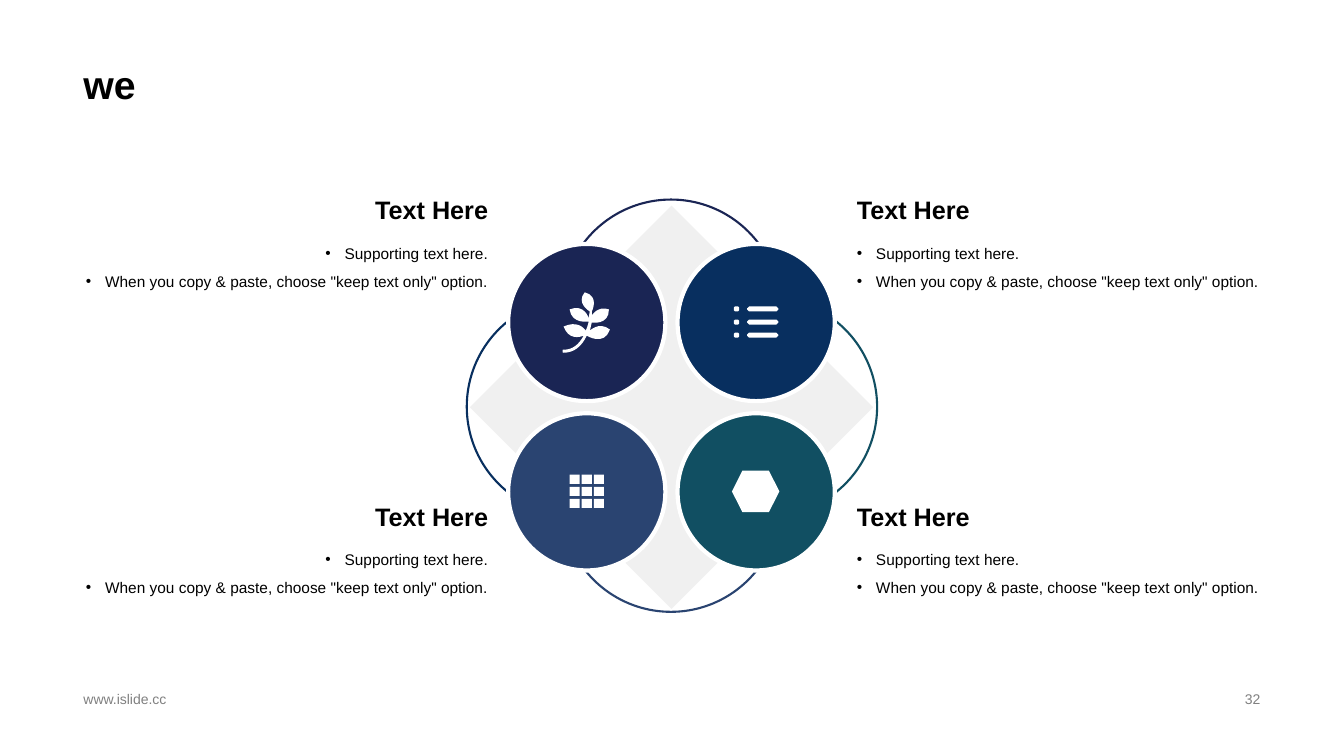
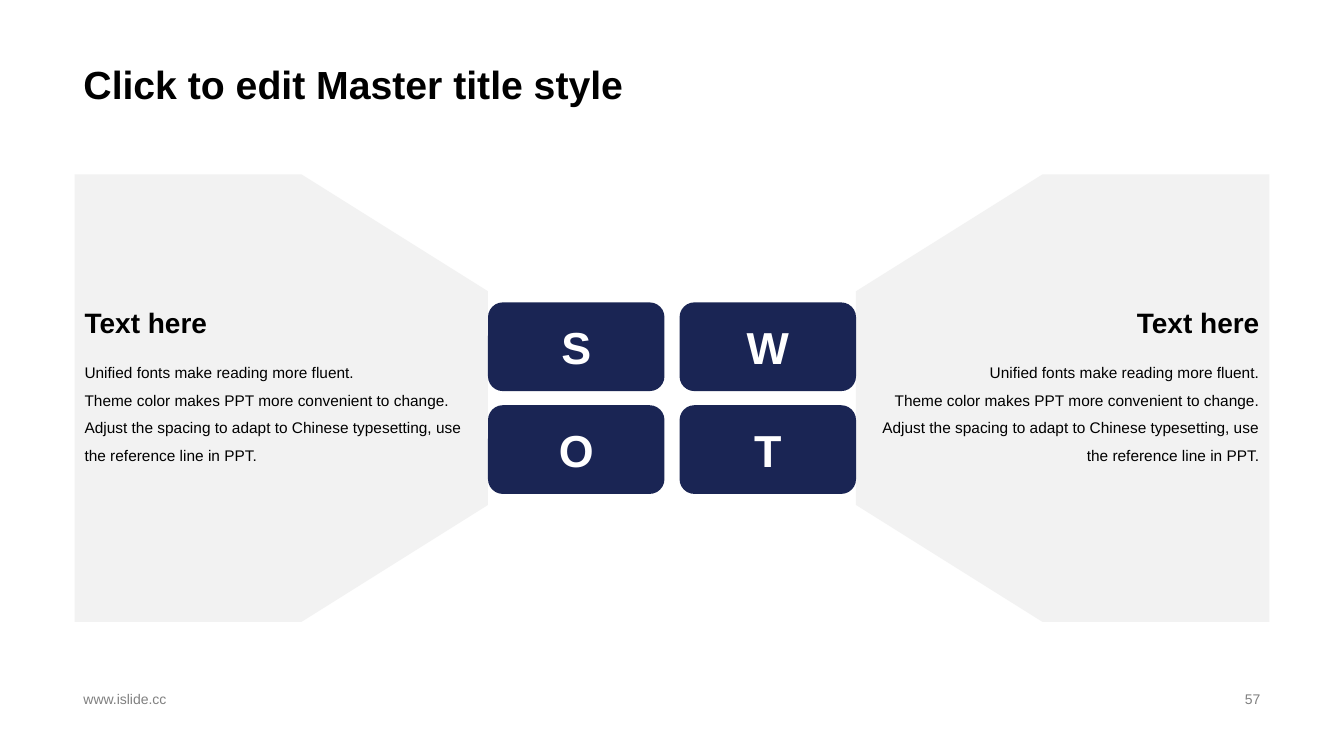
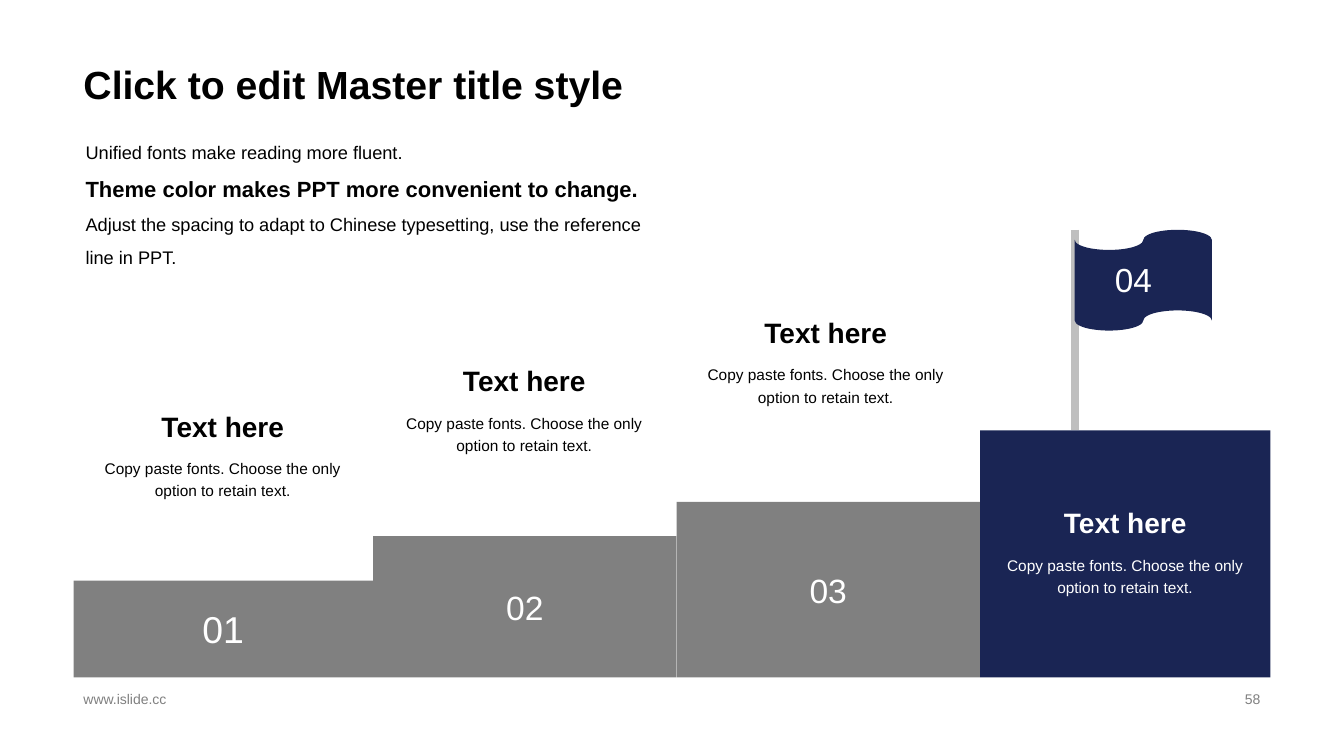
"""Build three slides: a four-circle diagram, a SWOT panel and a staircase with a flag."""
from dataclasses import dataclass

from lxml.etree import SubElement
from pptx import Presentation
from pptx.dml.color import RGBColor
from pptx.enum.shapes import MSO_CONNECTOR, MSO_SHAPE
from pptx.enum.text import MSO_ANCHOR, PP_ALIGN
from pptx.oxml.ns import qn
from pptx.util import Inches, Pt


@dataclass(frozen=True)
class Theme:
    font: str = "Arial"
    black: str = "000000"
    white: str = "FFFFFF"
    gray: str = "808080"
    pole: str = "BFBFBF"
    panel: str = "F2F2F2"
    diamond: str = "F0F0F0"
    navy: str = "1A2554"
    blue: str = "082F5F"
    slate: str = "2A4471"
    teal: str = "114F62"
    title: float = 28
    letter: float = 32
    number: float = 24
    first_number: float = 26.7
    flag_number: float = 23.8
    heading: float = 20
    small_heading: float = 18
    emphasis: float = 15.7
    intro: float = 13
    body: float = 11
    footer: float = 10


theme = Theme()


def add_block(slide, kind, box, fill=None, line=None, width=1.5):
    shape = slide.shapes.add_shape(kind, *map(Inches, box))
    shape.shadow.inherit = False
    if fill:
        shape.fill.solid()
        shape.fill.fore_color.rgb = RGBColor.from_string(fill)
    else:
        shape.fill.background()
    if line:
        shape.line.color.rgb = RGBColor.from_string(line)
        shape.line.width = Pt(width)
    else:
        shape.line.fill.background()
    return shape


def write(shape, lines, size, color=theme.black, bold=False, align=PP_ALIGN.LEFT,
          anchor=MSO_ANCHOR.TOP, spacing=1.0, bullet=False):
    frame = shape.text_frame
    frame.word_wrap = True
    frame.vertical_anchor = anchor
    for index, text in enumerate(lines):
        paragraph = frame.add_paragraph() if index else frame.paragraphs[0]
        paragraph.alignment = align
        paragraph.line_spacing = spacing
        if bullet:
            properties = paragraph._p.get_or_add_pPr()
            properties.set("marL", str(Inches(0.19)))
            properties.set("indent", str(-Inches(0.19)))
            SubElement(properties, qn("a:buFont")).set("typeface", theme.font)
            SubElement(properties, qn("a:buChar")).set("char", "•")
        run = paragraph.add_run()
        run.text = text
        run.font.name = theme.font
        run.font.size = Pt(size)
        run.font.bold = bold
        run.font.color.rgb = RGBColor.from_string(color)
    return frame


presentation = Presentation()
presentation.slide_width = Inches(13.33)
presentation.slide_height = Inches(7.5)

slides = []
for title, page in [("we", "32"), ("Click to edit Master title style", "57"),
                    ("Click to edit Master title style", "58")]:
    slide = presentation.slides.add_slide(presentation.slide_layouts[6])
    title_box = slide.shapes.add_textbox(Inches(0.73), 0, Inches(11.87), Inches(1.12))
    write(title_box, [title], theme.title, bold=True, anchor=MSO_ANCHOR.BOTTOM, spacing=0.9)
    for left, width, text, align in [(0.73, 4.53, "www.islide.cc", PP_ALIGN.LEFT),
                                     (9.42, 3.18, page, PP_ALIGN.RIGHT)]:
        footer = slide.shapes.add_textbox(*map(Inches, (left, 6.82, width, 0.23)))
        write(footer, [text], theme.footer, theme.gray, align=align, anchor=MSO_ANCHOR.MIDDLE)
    slides.append(slide)
circles_slide, swot_slide, stairs_slide = slides

for left, top, start, end, color in [
    (6.53, 2.95, 197.37, 90, theme.teal),
    (4.63, 2.95, 17.37, 270, theme.blue),
    (5.57, 1.98, 107.37, 0, theme.navy),
    (5.57, 3.9, 0, 252.63, theme.slate),
]:
    arc = add_block(circles_slide, MSO_SHAPE.ARC, (left, top, 2.17, 2.17), line=color)
    arc.adjustments[0] = start * 0.6
    arc.adjustments[1] = end * 0.6

add_block(circles_slide, MSO_SHAPE.DIAMOND, (4.66, 2.04, 4, 4), theme.diamond)
for left, top, color in [(5.04, 2.42, theme.navy), (5.04, 4.1, theme.slate),
                         (6.72, 2.42, theme.blue), (6.72, 4.1, theme.teal)]:
    add_block(circles_slide, MSO_SHAPE.OVAL, (left, top, 1.56, 1.56), color, theme.white, 3)

leaf_curves = [
    (5.77, 3.44, 5.69, 3.5, 5.59, 3.5), (5.58, 3.5, 5.58, 3.49, 5.58, 3.48),
    (5.58, 3.47, 5.58, 3.47, 5.59, 3.47), (5.68, 3.47, 5.74, 3.42, 5.79, 3.33),
    (5.74, 3.35, 5.64, 3.37, 5.59, 3.24), (5.72, 3.18, 5.79, 3.25, 5.81, 3.28),
    (5.82, 3.26, 5.83, 3.23, 5.84, 3.19), (5.84, 3.19, 5.67, 3.22, 5.65, 3.07),
    (5.8, 3.01, 5.84, 3.16, 5.84, 3.16), (5.84, 3.14, 5.85, 3.09, 5.85, 3.09),
    (5.85, 3.09, 5.71, 3.01, 5.8, 2.9), (5.95, 2.94, 5.87, 3.09, 5.87, 3.09),
    (5.87, 3.09, 5.87, 3.12, 5.87, 3.13), (5.87, 3.13, 5.93, 3.03, 6.04, 3.07),
    (6.04, 3.23, 5.87, 3.2, 5.87, 3.2), (5.86, 3.23, 5.86, 3.27, 5.84, 3.29),
    (5.84, 3.29, 5.94, 3.18, 6.05, 3.27), (5.99, 3.44, 5.82, 3.33, 5.82, 3.33),
]
x, y = 5.82, 3.33
leaf = [(x, y)]
for x1, y1, x2, y2, x3, y3 in leaf_curves:
    for step in range(1, 9):
        t = step / 8
        weights = ((1 - t) ** 3, 3 * t * (1 - t) ** 2, 3 * t ** 2 * (1 - t), t ** 3)
        leaf.append((sum(w * value for w, value in zip(weights, (x, x1, x2, x3))),
                     sum(w * value for w, value in zip(weights, (y, y1, y2, y3)))))
    x, y = x3, y3

list_bars = []
for row in range(3):
    top = 3.04 + row * 0.13
    bottom = top + 0.05
    for left, right in [(7.28, 7.33), (7.41, 7.72)]:
        cut = 0.01 if right - left < 0.1 else 0.02
        list_bars.append([
            (left + cut, top), (right - cut, top), (right, top + cut), (right, bottom - cut),
            (right - cut, bottom), (left + cut, bottom), (left, bottom - cut), (left, top + cut),
        ])

grid_cells = []
for left in (5.65, 5.77, 5.89):
    for top in (4.71, 4.83, 4.95):
        grid_cells.append([(left, top), (left + 0.1, top),
                           (left + 0.1, top + 0.09), (left, top + 0.09)])

left_panel = [(0.74, 1.73), (2.99, 1.73), (4.84, 2.89),
              (4.84, 5.01), (2.99, 6.17), (0.74, 6.17)]
right_panel = [(13.33 - x, y) for x, y in left_panel]

for slide, contours, color in [
    (circles_slide, [leaf], theme.white),
    (circles_slide, list_bars, theme.white),
    (circles_slide, grid_cells, theme.white),
    (swot_slide, [left_panel], theme.panel),
    (swot_slide, [right_panel], theme.panel),
]:
    outlines = [[(Inches(x), Inches(y)) for x, y in contour] for contour in contours]
    builder = slide.shapes.build_freeform(*outlines[0][0])
    for index, outline in enumerate(outlines):
        if index:
            builder.move_to(*outline[0])
        builder.add_line_segments(outline[1:])
    shape = builder.convert_to_shape()
    shape.shadow.inherit = False
    shape.fill.solid()
    shape.fill.fore_color.rgb = RGBColor.from_string(color)
    shape.line.fill.background()

add_block(circles_slide, MSO_SHAPE.HEXAGON, (7.26, 4.67, 0.47, 0.41), theme.white)

for top in (1.83, 4.87):
    for left, align in [(0.74, PP_ALIGN.RIGHT), (8.4, PP_ALIGN.LEFT)]:
        heading = circles_slide.shapes.add_textbox(*map(Inches, (left, top, 4.2, 0.45)))
        write(heading, ["Text Here"], theme.small_heading, bold=True, align=align,
              anchor=MSO_ANCHOR.BOTTOM)
        body = circles_slide.shapes.add_textbox(*map(Inches, (left, top + 0.45, 4.2, 0.71)))
        write(body, ["Supporting text here.",
                     'When you copy & paste, choose "keep text only" option.'],
              theme.body, align=align, spacing=1.5, bullet=True)

for index, letter in enumerate("SWOT"):
    row, column = divmod(index, 2)
    tile = add_block(swot_slide, MSO_SHAPE.ROUNDED_RECTANGLE,
                     (4.84 + column * 1.9, 3 + row * 1.02, 1.75, 0.88), theme.navy)
    write(tile, [letter], theme.letter, theme.white, True, PP_ALIGN.CENTER, MSO_ANCHOR.MIDDLE)

font_advice = [
    "Unified fonts make reading more fluent.",
    "Theme color makes PPT more convenient to change.",
    "Adjust the spacing to adapt to Chinese typesetting, use the reference line in PPT.",
]
for left, align in [(0.74, PP_ALIGN.LEFT), (8.64, PP_ALIGN.RIGHT)]:
    body = swot_slide.shapes.add_textbox(*map(Inches, (left, 3.46, 3.95, 1.46)))
    write(body, font_advice, theme.body, align=align, spacing=1.5)
    heading = swot_slide.shapes.add_textbox(*map(Inches, (left, 2.98, 3.95, 0.48)))
    write(heading, ["Text here"], theme.heading, bold=True, align=align)

stair_bottom = 6.72
for left, top, width, number, size in [
    (0.73, 5.76, 2.97, "01", theme.first_number),
    (3.7, 5.32, 3.01, "02", theme.number),
    (6.71, 4.98, 3.01, "03", theme.number),
]:
    stair = add_block(stairs_slide, MSO_SHAPE.RECTANGLE,
                      (left, top, width, stair_bottom - top), theme.gray)
    write(stair, [number], size, theme.white, align=PP_ALIGN.CENTER, anchor=MSO_ANCHOR.MIDDLE)
add_block(stairs_slide, MSO_SHAPE.RECTANGLE, (9.72, 4.27, 2.88, stair_bottom - 4.27), theme.navy)

pole = stairs_slide.shapes.add_connector(
    MSO_CONNECTOR.STRAIGHT, *map(Inches, (10.66, 2.28, 10.66, 4.27)))
pole.line.color.rgb = RGBColor.from_string(theme.pole)
pole.line.width = Pt(6)
SubElement(pole._element.spPr, qn("a:effectLst"))
add_block(stairs_slide, MSO_SHAPE.FLOWCHART_PUNCHED_TAPE, (10.66, 2.28, 1.36, 1), theme.navy)
flag_number = stairs_slide.shapes.add_textbox(*map(Inches, (10.83, 2.4, 0.82, 0.74)))
write(flag_number, ["04"], theme.flag_number, theme.white, align=PP_ALIGN.CENTER,
      anchor=MSO_ANCHOR.MIDDLE)

intro = stairs_slide.shapes.add_textbox(*map(Inches, (0.75, 1.24, 5.81, 1.61)))
intro_frame = write(intro, font_advice, theme.intro, spacing=1.5)
emphasis = intro_frame.paragraphs[1].runs[0]
emphasis.font.size = Pt(theme.emphasis)
emphasis.font.bold = True

for left, top, color in [(0.85, 3.98, theme.black), (3.84, 3.53, theme.black),
                         (6.83, 3.05, theme.black), (9.8, 4.94, theme.white)]:
    body = stairs_slide.shapes.add_textbox(*map(Inches, (left, top + 0.49, 2.72, 0.55)))
    write(body, ["Copy paste fonts. Choose the only option to retain text."], theme.body, color,
          align=PP_ALIGN.CENTER, spacing=1.2)
    heading = stairs_slide.shapes.add_textbox(*map(Inches, (left, top, 2.72, 0.49)))
    write(heading, ["Text here"], theme.heading, color, True, PP_ALIGN.CENTER, MSO_ANCHOR.MIDDLE)

presentation.save("out.pptx")
